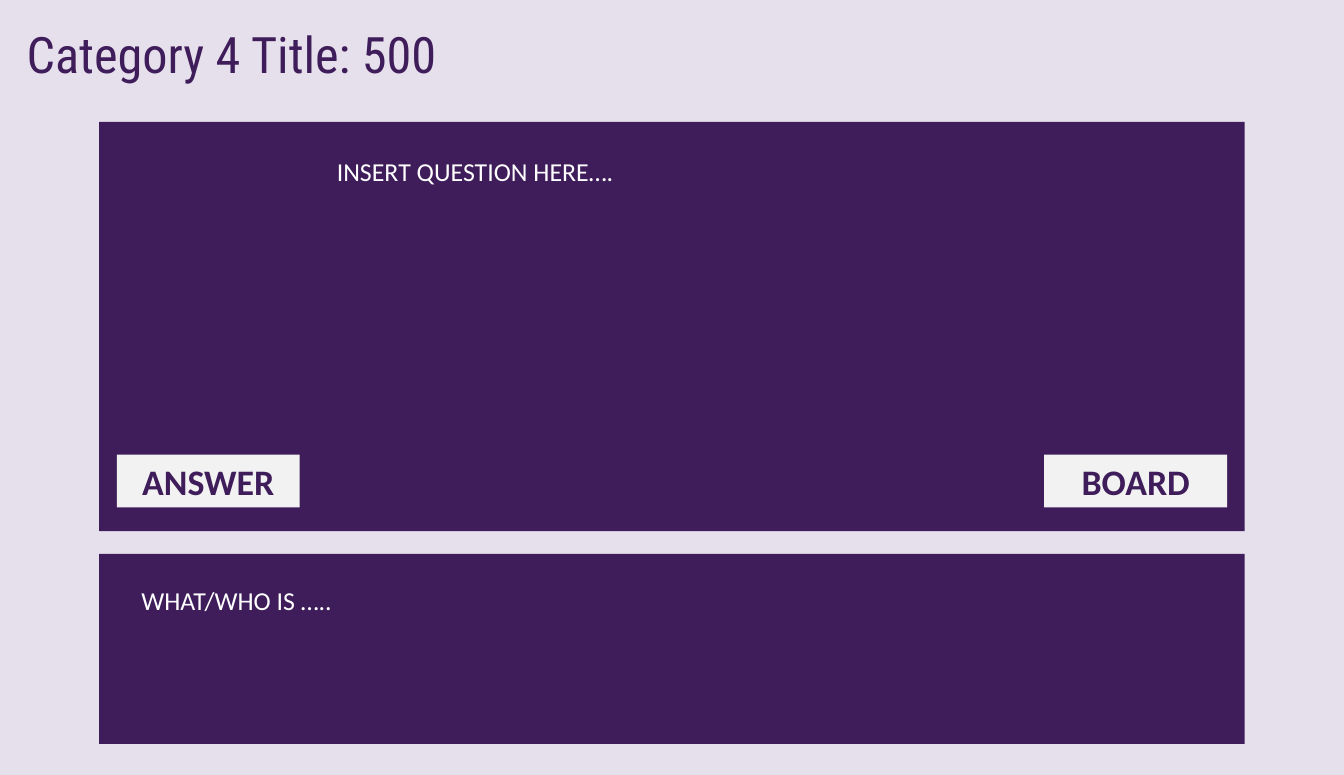
import pptx
import pptx.dml.color
import pptx.enum.shapes
import pptx.enum.text
import pptx.util

PURPLE, PALE, WHITE, LILAC = "3F1D5A", "F2F2F2", "FFFFFF", "E6E0EC"
PIXELS_PER_INCH = 100
SLIDE_SIZE = (1300, 750)

# Boxes are left, top, width, height in px.
PANELS = [(96, 118, 1108, 396), (96, 536, 1108, 184)]
BUTTONS = [("ANSWER", (113, 440, 177, 51)), ("BOARD", (1010, 440, 177, 51))]
BUTTON_FONT = {"name": "Calibri", "size": 25, "bold": True, "color": PURPLE}
BODY_FONT = {"name": "Calibri", "size": 18, "color": WHITE}
TITLE_FONT = {"name": "Roboto Condensed", "size": 35, "color": PURPLE}
LABELS = [
    ("WHAT/WHO IS …..", (127, 561, 206, 40), BODY_FONT, False),
    ("INSERT QUESTION HERE….", (316, 146, 668, 40), BODY_FONT, True),
    ("Category 4 Title: 500", (16, 18, 440, 69), TITLE_FONT, True),
]


def px(length):
    return pptx.util.Emu(length * pptx.util.Inches(1) // PIXELS_PER_INCH)


def rgb(color):
    return pptx.dml.color.RGBColor.from_string(color)


def write_text(shape, text, font_format):
    paragraph = shape.text_frame.paragraphs[0]
    run = paragraph.add_run()
    run.text = text
    for name, value in font_format.items():
        if name == "color":
            run.font.color.rgb = rgb(value)
        else:
            setattr(run.font, name, pptx.util.Pt(value) if name == "size" else value)
    return paragraph


def add_rectangle(slide, box, color):
    shape = slide.shapes.add_shape(
        pptx.enum.shapes.MSO_SHAPE.RECTANGLE, *map(px, box))
    shape.shadow.inherit = False
    shape.fill.solid()
    shape.fill.fore_color.rgb = rgb(color)
    shape.line.fill.background()
    return shape


def add_button(slide, text, box):
    shape = add_rectangle(slide, box, PALE)
    shape.text_frame.vertical_anchor = pptx.enum.text.MSO_ANCHOR.MIDDLE
    paragraph = write_text(shape, text, BUTTON_FONT)
    paragraph.alignment = pptx.enum.text.PP_ALIGN.CENTER


def add_label(slide, text, box, font_format, wrap):
    shape = slide.shapes.add_textbox(*map(px, box))
    shape.text_frame.word_wrap = wrap
    shape.text_frame.auto_size = pptx.enum.text.MSO_AUTO_SIZE.SHAPE_TO_FIT_TEXT
    write_text(shape, text, font_format)


def main():
    presentation = pptx.Presentation()
    presentation.slide_width, presentation.slide_height = map(px, SLIDE_SIZE)
    slide = presentation.slides.add_slide(presentation.slide_layouts[6])
    slide.background.fill.solid()
    slide.background.fill.fore_color.rgb = rgb(LILAC)
    for box in PANELS:
        add_rectangle(slide, box, PURPLE)
    for text, box in BUTTONS:
        add_button(slide, text, box)
    for label in LABELS:
        add_label(slide, *label)
    presentation.save("out.pptx")


if __name__ == "__main__":
    main()
